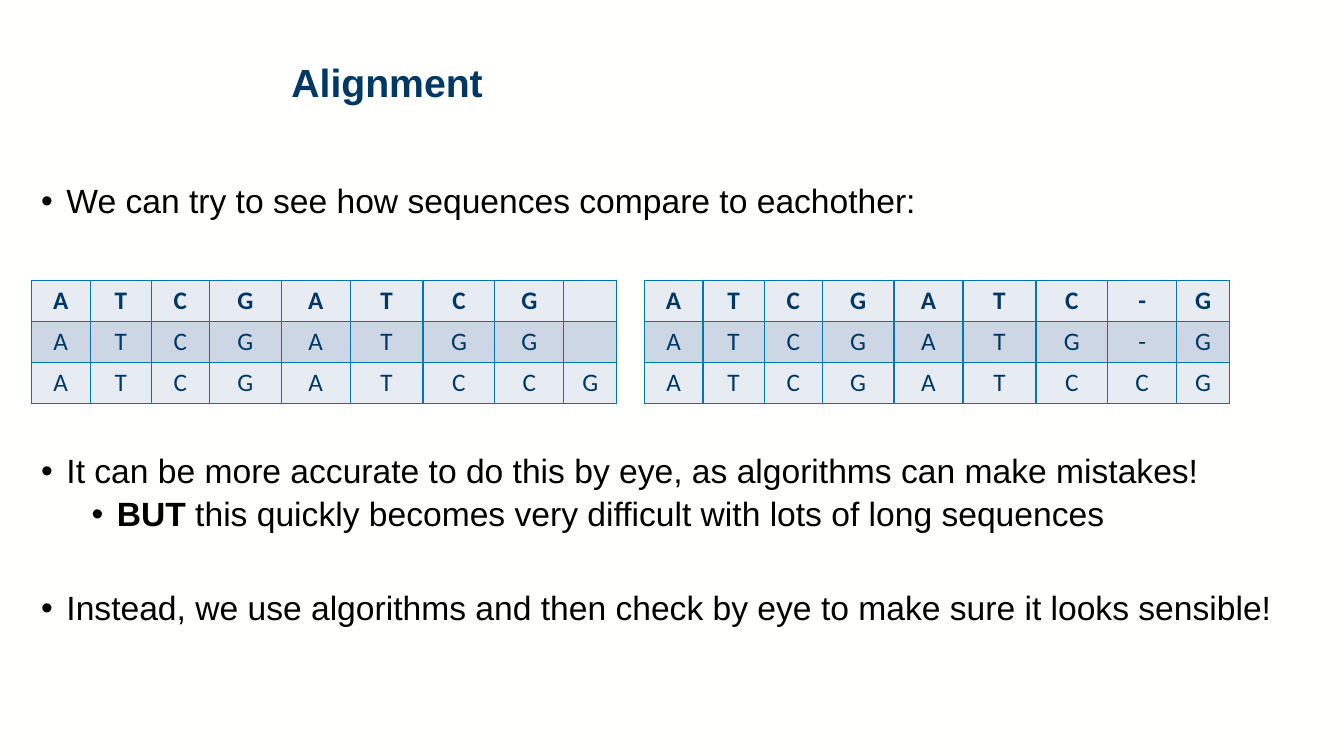
from dataclasses import dataclass

from lxml.etree import SubElement
from pptx import Presentation
from pptx.dml.color import RGBColor
from pptx.enum.text import MSO_ANCHOR, MSO_AUTO_SIZE, PP_ALIGN
from pptx.oxml import parse_xml
from pptx.oxml.ns import nsdecls, qn
from pptx.util import Inches, Pt


@dataclass(frozen=True)
class Theme:
    background: str = "FFFFFE"
    navy: str = "003865"
    black: str = "000000"
    border: str = "0075B0"
    light_row: str = "E7ECF2"
    dark_row: str = "CCD6E4"
    text_font: str = "Arial"
    table_font: str = "Calibri"
    title_size: int = 28
    body_size: int = 24
    table_size: int = 18


def add_span(para, text, *, font, size, color, bold=False):
    span = para.add_run()
    span.text = text
    span.font.name = font
    span.font.size = Pt(size)
    span.font.bold = bold
    span.font.color.rgb = RGBColor.from_string(color)


class SlideBuilder:
    def __init__(self, deck, theme):
        self.deck = deck
        self.theme = theme
        self.page = deck.slides.add_slide(deck.slide_layouts[5])
        fill = self.page.background.fill
        fill.solid()
        fill.fore_color.rgb = RGBColor.from_string(theme.background)

    def across(self, percent):
        return round(self.deck.slide_width * percent / 100)

    def down(self, percent):
        return round(self.deck.slide_height * percent / 100)

    def frame(self, left, top, width, height):
        return (self.across(left), self.down(top),
                self.across(width), self.down(height))

    def prepare(self, box):
        text_frame = box.text_frame
        text_frame.word_wrap = True
        text_frame.auto_size = MSO_AUTO_SIZE.NONE
        text_frame.vertical_anchor = MSO_ANCHOR.TOP
        return text_frame

    def title(self, text, *place):
        box = self.page.shapes.title
        box.left, box.top, box.width, box.height = self.frame(*place)
        para = self.prepare(box).paragraphs[0]
        para.alignment = PP_ALIGN.LEFT
        para.line_spacing = 0.9
        add_span(para, text, font=self.theme.text_font, bold=True,
                 size=self.theme.title_size, color=self.theme.navy)

    def bullets(self, items, *place):
        box = self.page.shapes.add_textbox(*self.frame(*place))
        text_frame = self.prepare(box)
        for index, (level, space_before, spans) in enumerate(items):
            para = text_frame.add_paragraph() if index else text_frame.paragraphs[0]
            para.level = level
            para.line_spacing = 0.9
            para.space_before = Pt(space_before)
            properties = para._p.get_or_add_pPr()
            properties.set("marL", str(Inches(0.25 + 0.5 * level)))
            properties.set("indent", str(-Inches(0.25)))
            SubElement(properties, qn("a:buFont")).set("typeface", self.theme.text_font)
            SubElement(properties, qn("a:buChar")).set("char", "•")
            for text, bold in spans:
                add_span(para, text, font=self.theme.text_font, bold=bold,
                         size=self.theme.body_size, color=self.theme.black)

    def borders(self, cell):
        properties = cell._tc.get_or_add_tcPr()
        for index, side in enumerate(("lnL", "lnR", "lnT", "lnB")):
            properties.insert(index, parse_xml(
                f'<a:{side} {nsdecls("a")} w="{Pt(1)}"><a:solidFill>'
                f'<a:srgbClr val="{self.theme.border}"/></a:solidFill></a:{side}>'))

    def sequences(self, rows, widths, left, top, row_height):
        place = self.frame(left, top, sum(widths), row_height * len(rows))
        table = self.page.shapes.add_table(len(rows), len(widths), *place).table
        table.horz_banding = False
        for column, width in zip(table.columns, widths):
            column.width = self.across(width)
        for row_index, letters in enumerate(rows):
            table.rows[row_index].height = self.down(row_height)
            color = self.theme.dark_row if row_index % 2 else self.theme.light_row
            for cell, letter in zip(table.rows[row_index].cells, letters):
                cell.fill.solid()
                cell.fill.fore_color.rgb = RGBColor.from_string(color)
                self.borders(cell)
                para = cell.text_frame.paragraphs[0]
                para.alignment = PP_ALIGN.CENTER
                if letter.strip():
                    add_span(para, letter, font=self.theme.table_font,
                             size=self.theme.table_size, color=self.theme.navy,
                             bold=row_index == 0)


def main():
    deck = Presentation()
    deck.slide_width, deck.slide_height = Inches(13.33), Inches(7.5)
    slide = SlideBuilder(deck, Theme())
    left, text_width = 2.33, 97.67

    slide.title("Alignment", 20.93, 7.73, 75.54, 12.93)
    slide.bullets(
        [(0, 10, [("We can try to see how sequences compare to eachother:", False)])],
        left, 23.73, text_width, 8.67)

    widths = (4.38, 4.56, 4.32, 5.34, 5.13, 5.43, 5.34, 5.13, 3.94)
    unaligned = ("ATCGATCG ", "ATCGATGG ", "ATCGATCCG")
    aligned = ("ATCGATC-G", "ATCGATG-G", "ATCGATCCG")
    for index, rows in enumerate((unaligned, aligned)):
        slide.sequences(rows, widths, left + 45.6 * index, 37.07, 5.42)

    slide.bullets([
        (0, 10, [("It can be more accurate to do this by eye, "
                  "as algorithms can make mistakes!", False)]),
        (1, 5, [("BUT", True),
                (" this quickly becomes very difficult with lots of long sequences", False)]),
        (0, 41, [("Instead, we use algorithms and then check by eye "
                  "to make sure it looks sensible!", False)]),
    ], left, 59.47, text_width, 30.67)
    deck.save("out.pptx")


if __name__ == "__main__":
    main()
